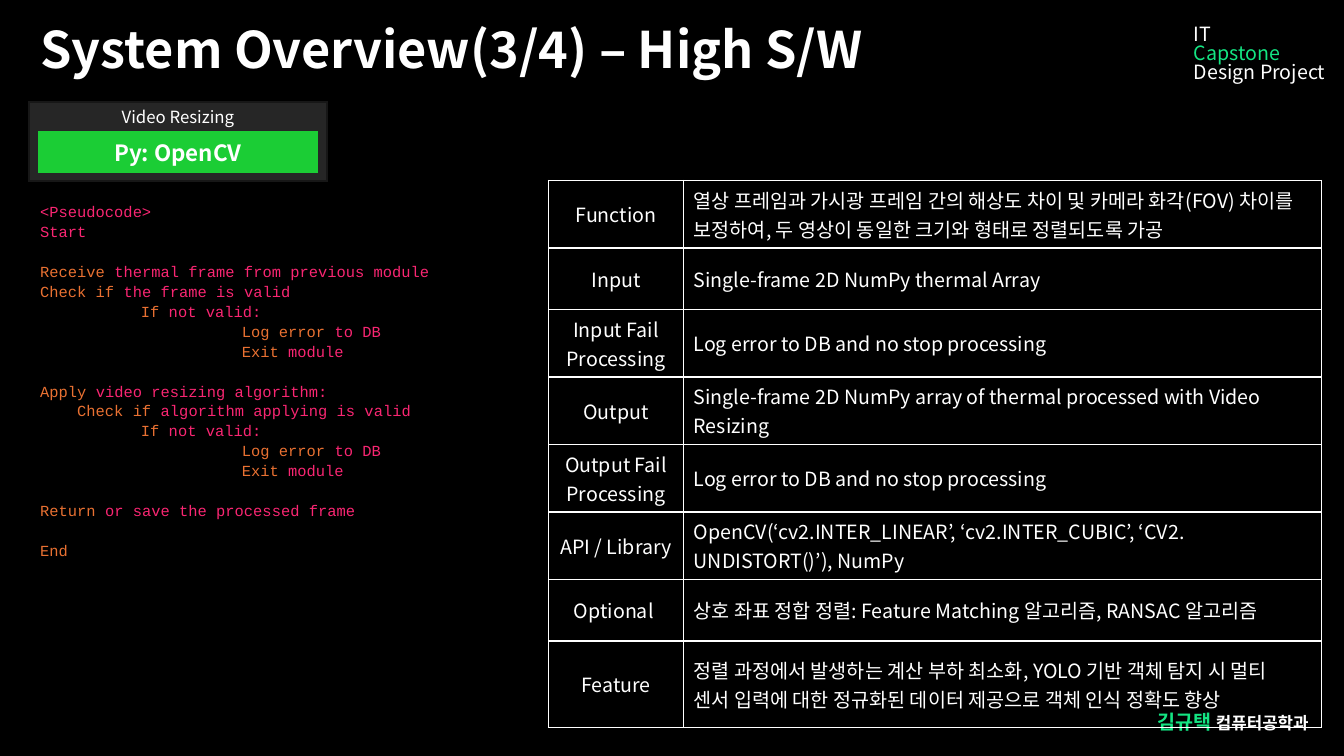
import pptx
import pptx.dml.color
import pptx.enum.shapes
import pptx.enum.text
import pptx.oxml
import pptx.oxml.ns
import pptx.util

Inches = pptx.util.Inches
Pt = pptx.util.Pt
ALIGN = pptx.enum.text.PP_ALIGN
ANCHOR = pptx.enum.text.MSO_ANCHOR
NAMESPACE = pptx.oxml.ns.nsdecls("a")
COLOURS = {
    "black": "000000", "white": "FFFFFF", "mint": "14E583", "panel": "262626",
    "panel_edge": "171717", "green": "1BCD35", "pink": "F92672", "orange": "E97132",
}
COLOURS = {name: pptx.dml.color.RGBColor.from_string(code) for name, code in COLOURS.items()}
SANS = "Noto Sans CJK KR"
MONO = "Courier New"


def style(font, size, colour="white", name=SANS, bold=False):
    """Set latin and East Asian typeface, size, weight and colour."""
    font.size, font.bold, font.name = Pt(size), bold, name
    font.color.rgb = COLOURS[colour]
    east_asian = pptx.oxml.parse_xml(f'<a:ea {NAMESPACE} typeface="{name}"/>')
    font._element.find(pptx.oxml.ns.qn("a:latin")).addnext(east_asian)


def add_text_box(left, top, width, height, anchor=ANCHOR.TOP):
    box = page.shapes.add_textbox(Inches(left), Inches(top), Inches(width), Inches(height))
    box.text_frame.word_wrap = True
    box.text_frame.vertical_anchor = anchor
    return box.text_frame


deck = pptx.Presentation()
deck.slide_width, deck.slide_height = Inches(13.33), Inches(7.5)
page = deck.slides.add_slide(deck.slide_layouts[5])
page.background.fill.solid()
page.background.fill.fore_color.rgb = COLOURS["black"]

# Title
title = page.shapes.title
title.left, title.top = Inches(0.3), Inches(0.13)
title.width, title.height = Inches(11.27), Inches(1.12)
title.text_frame.text = "System Overview(3/4) – High S/W"
title.text_frame.auto_size = pptx.enum.text.MSO_AUTO_SIZE.NONE
title.text_frame.vertical_anchor = ANCHOR.TOP
para = title.text_frame.paragraphs[0]
para.alignment, para.line_spacing = ALIGN.LEFT, 1.0
style(para.font, 36, bold=True)

# Course name, top right
course = add_text_box(11.74, 0.09, 1.51, 0.91, ANCHOR.MIDDLE)
course.text = "IT\nCapstone\nDesign Project"
for para, colour in zip(course.paragraphs, ("white", "mint", "white")):
    para.line_spacing = 0.8
    style(para.font, 14, colour)

# Author, bottom right
author = add_text_box(11.38, 6.96, 1.87, 0.39, ANCHOR.MIDDLE).paragraphs[0]
for text, size, colour in (("김규택 ", 14, "mint"), ("컴퓨터공학과", 12, "white")):
    span = author.add_run()
    span.text = text
    style(span.font, size, colour, bold=True)

# Module specification table: row height, label, description
specification = [
    (0.67, "Function", "열상 프레임과 가시광 프레임 간의 해상도 차이 및 카메라 화각(FOV) "
                       "차이를 보정하여, 두 영상이 동일한 크기와 형태로 정렬되도록 가공"),
    (0.61, "Input", "Single-frame 2D NumPy thermal Array"),
    (0.67, "Input Fail Processing", "Log error to DB and no stop processing"),
    (0.67, "Output", "Single-frame 2D NumPy array of thermal processed with Video Resizing"),
    (0.67, "Output Fail Processing", "Log error to DB and no stop processing"),
    (0.67, "API / Library",
     "OpenCV(‘cv2.INTER_LINEAR’, ‘cv2.INTER_CUBIC’, ‘CV2. UNDISTORT()’), NumPy"),
    (0.61, "Optional ", "상호 좌표 정합 정렬: Feature Matching 알고리즘, RANSAC 알고리즘"),
    (0.86, "Feature", "정렬 과정에서 발생하는 계산 부하 최소화, YOLO 기반 객체 탐지 시 멀티 "
                      "센서 입력에 대한 정규화된 데이터 제공으로 객체 인식 정확도 향상"),
]
table_height = sum(height for height, label, description in specification)
table = page.shapes.add_table(len(specification), 2, Inches(5.44), Inches(1.79),
                              Inches(7.67), Inches(table_height)).table
table.first_row = table.horz_banding = False
table.columns[0].width, table.columns[1].width = Inches(1.34), Inches(6.33)
for row, (height, *texts) in zip(table.rows, specification):
    row.height = Inches(height)
    for cell, text, alignment in zip(row.cells, texts, (ALIGN.CENTER, ALIGN.LEFT)):
        cell.text = text
        cell.vertical_anchor = ANCHOR.MIDDLE
        para = cell.text_frame.paragraphs[0]
        para.alignment = alignment
        style(para.font, 14)
        for side in "LRTB":
            cell._tc.get_or_add_tcPr().append(pptx.oxml.parse_xml(
                f'<a:ln{side} {NAMESPACE} w="12700"><a:solidFill>'
                f'<a:srgbClr val="{COLOURS["white"]}"/></a:solidFill></a:ln{side}>'))
        cell.fill.background()
    row.cells[1].margin_right = Inches(0.2)

# Module badge: panel with the library bar on it
badge = [
    ("Video Resizing", 0.29, 1.01, 2.95, 0.79, "panel", "panel_edge", 12, False, ANCHOR.TOP),
    ("Py: OpenCV", 0.39, 1.31, 2.75, 0.4, "green", "green", 16, True, ANCHOR.MIDDLE),
]
for text, left, top, width, height, fill, edge, size, bold, anchor in badge:
    box = page.shapes.add_shape(pptx.enum.shapes.MSO_SHAPE.RECTANGLE, Inches(left),
                                Inches(top), Inches(width), Inches(height))
    box.shadow.inherit = False
    box.fill.solid()
    box.fill.fore_color.rgb = COLOURS[fill]
    box.line.color.rgb = COLOURS[edge]
    box.line.width = Pt(1.5)
    box.line._get_or_add_ln().append(
        pptx.oxml.parse_xml(f'<a:miter {NAMESPACE} lim="800000"/>'))
    box.text_frame.text = text
    box.text_frame.vertical_anchor = anchor
    para = box.text_frame.paragraphs[0]
    para.alignment = ALIGN.CENTER
    style(para.font, size, bold=bold)

# Pseudocode: blocks are set apart by one line; each line is (indent, keyword, rest)
failure = [
    ("    \t", "If", " not valid:"),
    ("        \t\t", "Log error ", "to DB"),
    ("        \t\t", "Exit", " module"),
]
blocks = [
    [("", "", "<Pseudocode>"), ("", "", "Start")],
    [("", "Receive", " thermal frame from previous module"),
     ("", "Check if ", "the frame is valid")] + failure,
    [("", "Apply ", "video resizing algorithm:"),
     ("    ", "Check if ", "algorithm applying is valid")] + failure,
    [("", "Return", " or save the processed frame")],
    [("", "End", "")],
]
code = add_text_box(0.3, 1.94, 5.63, 5.03)
for block_index, block in enumerate(blocks):
    for line_index, (indent, keyword, rest) in enumerate(block):
        first = block_index == line_index == 0
        para = code.paragraphs[0] if first else code.add_paragraph()
        para.line_spacing = Pt(14.25)
        if block_index and line_index == 0:
            para.space_before = Pt(14.25)
        if "\t" in indent:
            para._p.get_or_add_pPr().append(pptx.oxml.parse_xml(
                f'<a:tabLst {NAMESPACE}><a:tab pos="{Inches(1)}" algn="l"/>'
                f'<a:tab pos="{Inches(2)}" algn="l"/></a:tabLst>'))
        style(para.font, 11, "pink", MONO)
        for text, colour in ((indent + keyword, "orange"), (rest, "pink")):
            if text:
                span = para.add_run()
                span.text = text
                span.font.color.rgb = COLOURS[colour]

deck.save("out.pptx")
